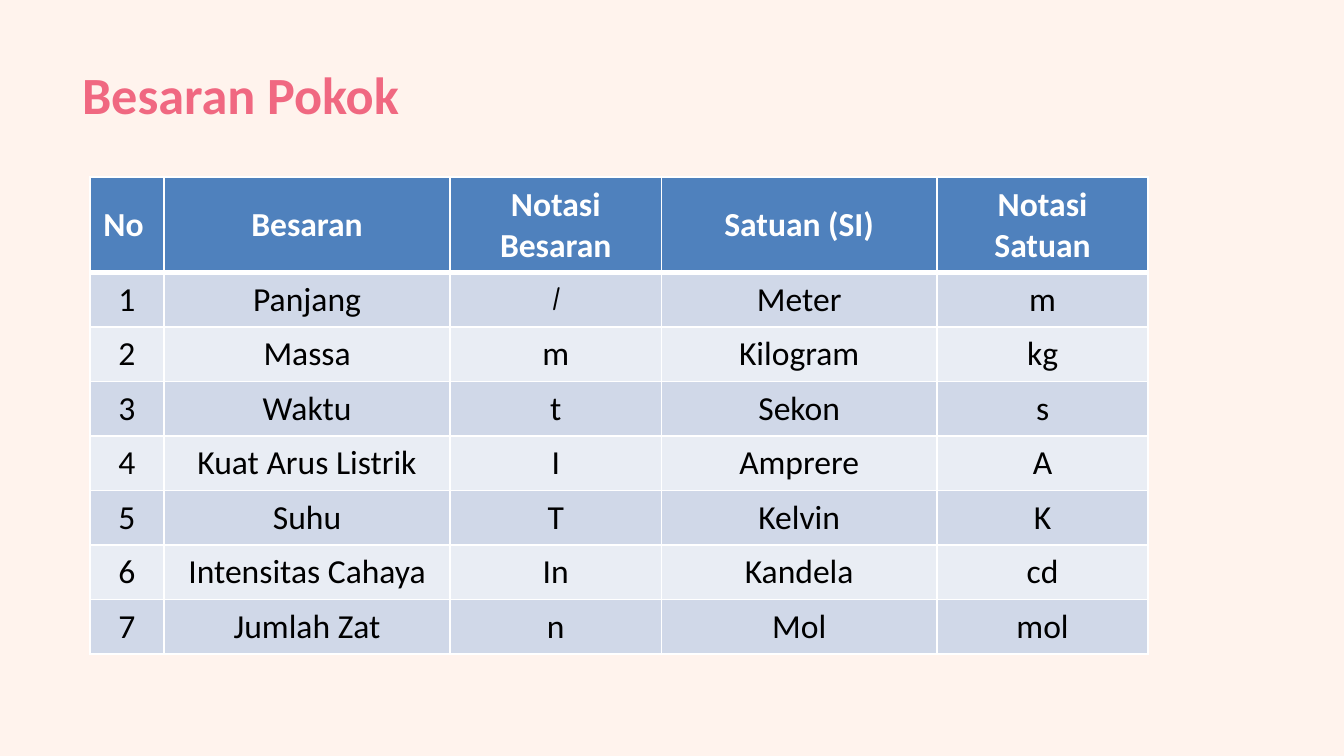
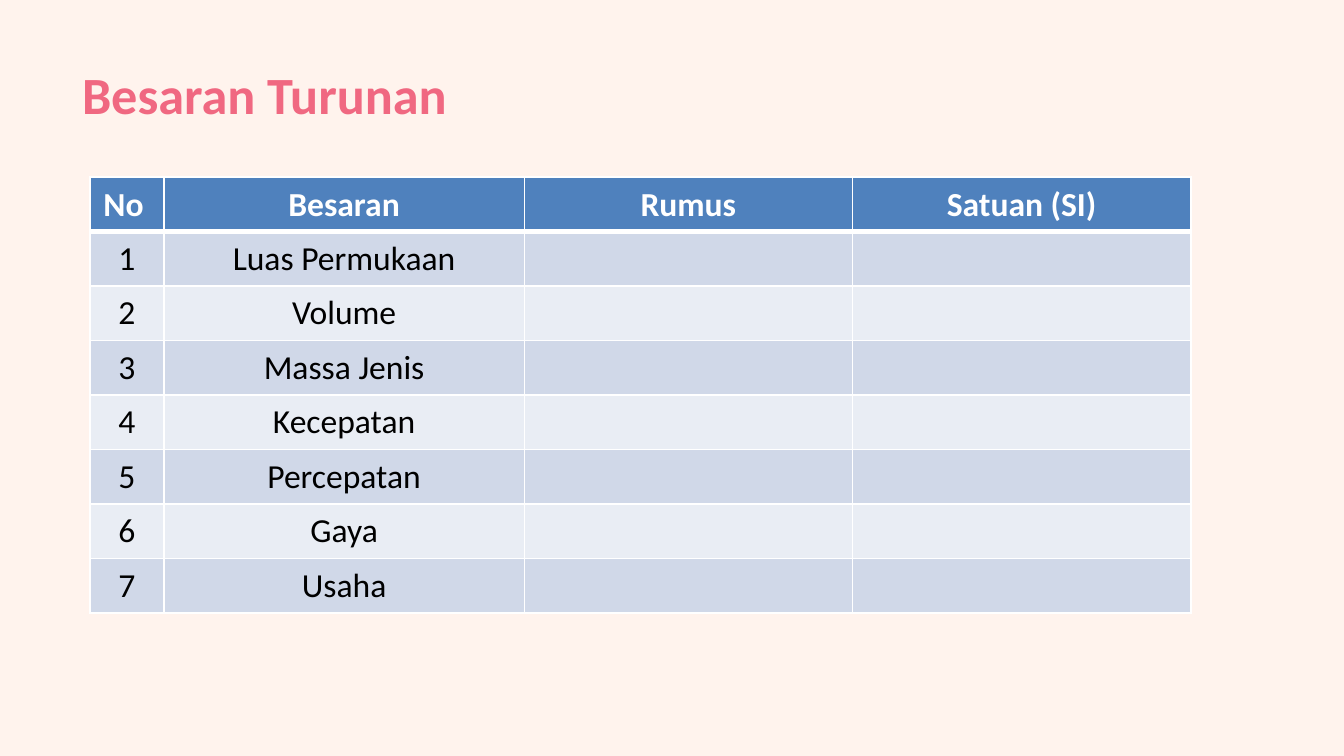
import dataclasses

import pptx
import pptx.dml.color
import pptx.enum.text
import pptx.oxml
import pptx.oxml.ns
import pptx.util

Cm = pptx.util.Cm
Pt = pptx.util.Pt
Alignment = pptx.enum.text.PP_ALIGN
Anchor = pptx.enum.text.MSO_ANCHOR

BASE_QUANTITIES = {
    "title": "Besaran Pokok",
    "columns": [
        ("No", 1.4),
        ("Besaran", 5.41),
        ("Notasi Besaran", 3.99),
        ("Satuan (SI)", 5.21),
        ("Notasi Satuan", 3.99),
    ],
    "header_height": 1.78,
    "rows": [
        ("Panjang", "l", "Meter", "m"),
        ("Massa", "m", "Kilogram", "kg"),
        ("Waktu", "t", "Sekon", "s"),
        ("Kuat Arus Listrik", "I", "Amprere", "A"),
        ("Suhu", "T", "Kelvin", "K"),
        ("Intensitas Cahaya", "In", "Kandela", "cd"),
        ("Jumlah Zat", "n", "Mol", "mol"),
    ],
    "script_cells": {(1, 2)},
}

DERIVED_QUANTITIES = {
    "title": "Besaran Turunan",
    "columns": [
        ("No", 1.4),
        ("Besaran", 6.81),
        ("Rumus", 6.2),
        ("Satuan (SI)", 6.4),
    ],
    "header_height": 1.03,
    "rows": [
        ("Luas Permukaan", "", ""),
        ("Volume", "", ""),
        ("Massa Jenis", "", ""),
        ("Kecepatan", "", ""),
        ("Percepatan", "", ""),
        ("Gaya", "", ""),
        ("Usaha", "", ""),
    ],
    "script_cells": set(),
}


@dataclasses.dataclass(frozen=True)
class Theme:
    background: str = "FFF3ED"
    title: str = "F06881"
    header: str = "4F81BD"
    header_text: str = "FFFFFF"
    body_text: str = "000000"
    bands: tuple = ("D0D8E8", "E9EDF4")
    border: str = "FFFFFF"
    border_width: int = 1
    header_rule_width: int = 3
    font: str = "Calibri"
    script_font: str = "Comic Neue"
    title_size: int = 28
    table_size: int = 18


THEME = Theme()
TITLE_BOX = (1.09, 0.94, 19.46, 1.65)
TABLE_LEFT, TABLE_TOP = 1.7, 3.35
ROW_HEIGHT = 1.03


def set_fill(fill, color):
    fill.solid()
    fill.fore_color.rgb = pptx.dml.color.RGBColor.from_string(color)


def format_runs(paragraph, size, color, bold=False, font=THEME.font, italic=False):
    for run in paragraph.runs:
        run.font.name = font
        run.font.size = Pt(size)
        run.font.bold = bold
        run.font.italic = italic
        run.font.color.rgb = pptx.dml.color.RGBColor.from_string(color)


def set_borders(cell, top, bottom):
    properties = cell._tc.get_or_add_tcPr()
    widths = {"lnL": THEME.border_width, "lnR": THEME.border_width, "lnT": top, "lnB": bottom}
    for position, (side, width) in enumerate(widths.items()):
        line = pptx.oxml.parse_xml(
            f'<a:{side} {pptx.oxml.ns.nsdecls("a")} w="{Pt(width)}"><a:solidFill>'
            f'<a:srgbClr val="{THEME.border}"/></a:solidFill></a:{side}>'
        )
        properties.insert(position, line)


def add_title(slide, text):
    title = slide.shapes.title
    title.left, title.top, title.width, title.height = map(Cm, TITLE_BOX)
    frame = title.text_frame
    frame.text = text
    frame.word_wrap = True
    frame.auto_size = pptx.enum.text.MSO_AUTO_SIZE.NONE
    frame.vertical_anchor = Anchor.MIDDLE
    frame.margin_left = frame.margin_right = Cm(0.46)
    frame.margin_top = frame.margin_bottom = Cm(0.23)
    paragraph = frame.paragraphs[0]
    paragraph.alignment = Alignment.LEFT
    format_runs(paragraph, THEME.title_size, THEME.title, bold=True)


def format_cell(cell, text, row, column, is_script):
    is_header = row == 0
    set_fill(cell.fill, THEME.header if is_header else THEME.bands[(row - 1) % 2])
    set_borders(
        cell,
        top=THEME.header_rule_width if row == 1 else THEME.border_width,
        bottom=THEME.header_rule_width if is_header else THEME.border_width,
    )
    cell.vertical_anchor = Anchor.MIDDLE
    cell.text_frame.text = text
    paragraph = cell.text_frame.paragraphs[0]
    paragraph.alignment = Alignment.LEFT if is_header and column == 0 else Alignment.CENTER
    format_runs(
        paragraph,
        THEME.table_size,
        THEME.header_text if is_header else THEME.body_text,
        bold=is_header,
        font=THEME.script_font if is_script else THEME.font,
        italic=is_script,
    )


def add_quantity_table(slide, content):
    names, widths = zip(*content["columns"])
    numbered = [(str(number), *row) for number, row in enumerate(content["rows"], 1)]
    grid = [names, *numbered]
    heights = [content["header_height"]] + [ROW_HEIGHT] * len(numbered)
    table = slide.shapes.add_table(
        len(grid), len(names), Cm(TABLE_LEFT), Cm(TABLE_TOP), Cm(sum(widths)), Cm(sum(heights))
    ).table
    table.horz_banding = False
    for column, width in zip(table.columns, widths):
        column.width = Cm(width)
    for row, height in zip(table.rows, heights):
        row.height = Cm(height)
    for row, texts in enumerate(grid):
        for column, text in enumerate(texts):
            is_script = (row, column) in content["script_cells"]
            format_cell(table.cell(row, column), text, row, column, is_script)


def main():
    presentation = pptx.Presentation()
    presentation.slide_width = Cm(25.4)
    presentation.slide_height = Cm(14.29)
    set_fill(presentation.slide_master.background.fill, THEME.background)
    title_only = presentation.slide_layouts.get_by_name("Title Only")
    for content in (BASE_QUANTITIES, DERIVED_QUANTITIES):
        slide = presentation.slides.add_slide(title_only)
        add_title(slide, content["title"])
        add_quantity_table(slide, content)
    presentation.save("out.pptx")


if __name__ == "__main__":
    main()
